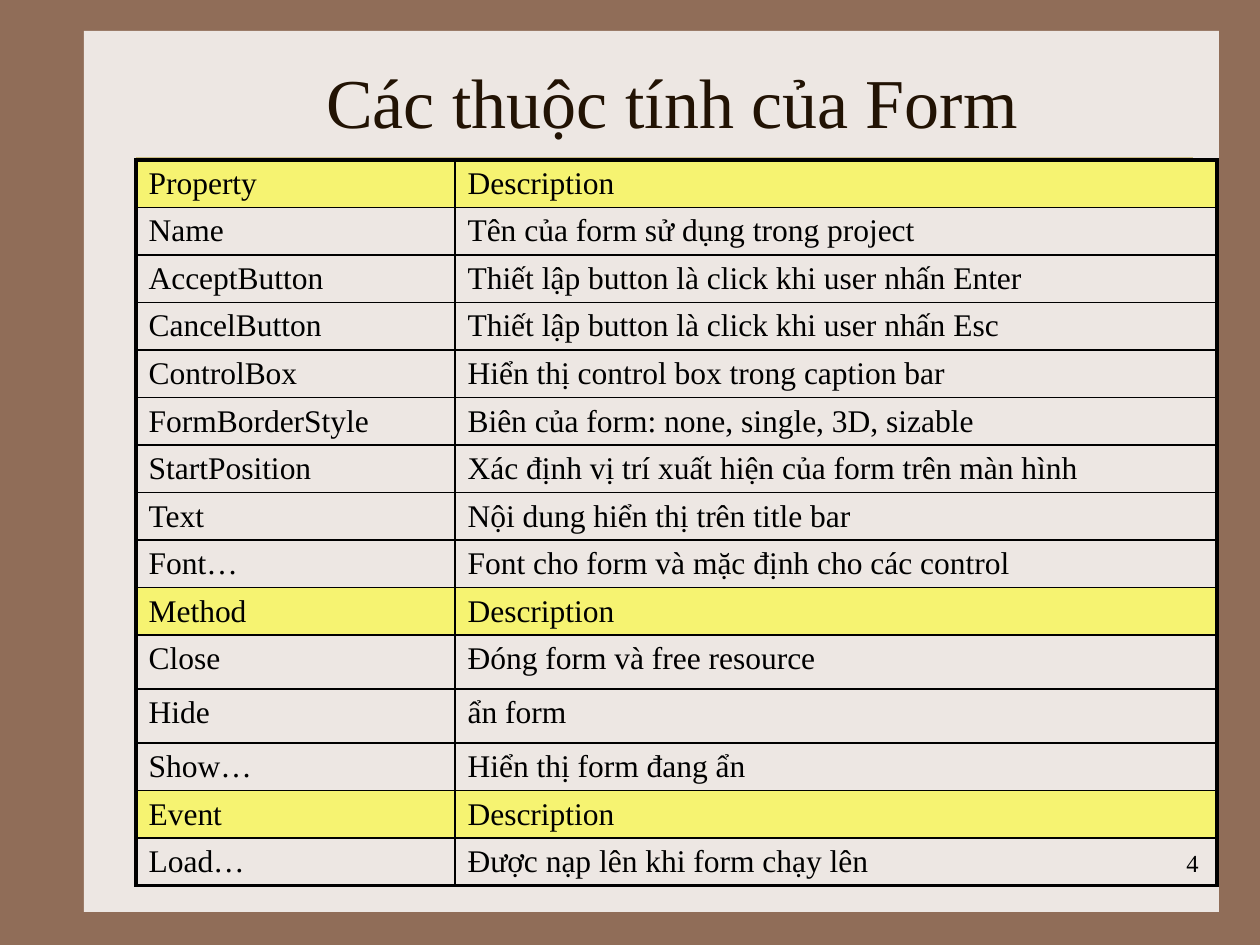
from dataclasses import dataclass

from lxml import etree
from pptx import Presentation
from pptx.dml.color import RGBColor
from pptx.enum.shapes import MSO_CONNECTOR, MSO_SHAPE
from pptx.enum.text import MSO_ANCHOR, PP_ALIGN
from pptx.oxml.ns import qn
from pptx.util import Pt

RECT = MSO_SHAPE.RECTANGLE
STRAIGHT = MSO_CONNECTOR.STRAIGHT
MIDDLE = MSO_ANCHOR.MIDDLE
LEFT, CENTER, RIGHT = PP_ALIGN.LEFT, PP_ALIGN.CENTER, PP_ALIGN.RIGHT
SCALE = 914400 / 126


@dataclass(frozen=True)
class Theme:
    font: str = "Times New Roman"
    back: str = "906D58"
    page: str = "EDE7E3"
    rule: str = "CBBD83"
    title: str = "221304"
    ink: str = "000000"
    head: str = "FFFF00"
    head_alpha: int = 50
    title_size: int = 40
    cell_size: int = 18
    num_size: int = 14
    thin: float = 1
    thick: float = 2.25
    hair: float = 0.25


THEME = Theme()
HEADS = ("Property", "Method", "Event")
TALL = ("Close", "Hide")
COLS = (319, 762)
ROW, TALL_ROW = 47, 54
ROWS = [
    ("Property", "Description"),
    ("Name", "Tên của form sử dụng trong project"),
    ("AcceptButton", "Thiết lập button là click khi user nhấn Enter"),
    ("CancelButton", "Thiết lập button là click khi user nhấn Esc"),
    ("ControlBox", "Hiển thị control box trong caption bar"),
    ("FormBorderStyle", "Biên của form: none, single, 3D, sizable"),
    ("StartPosition", "Xác định vị trí xuất hiện của form trên màn hình"),
    ("Text", "Nội dung hiển thị trên title bar"),
    ("Font…", "Font cho form và mặc định cho các control"),
    ("Method", "Description"),
    ("Close", "Đóng form và free resource"),
    ("Hide", "ẩn form"),
    ("Show…", "Hiển thị form đang ẩn"),
    ("Event", "Description"),
    ("Load…", "Được nạp lên khi form chạy lên"),
]


def px(n):
    return round(n * SCALE)


def rgb(color):
    return RGBColor.from_string(color)


def write(frame, text, size=THEME.cell_size, color=THEME.ink, align=LEFT):
    frame.word_wrap = True
    para = frame.paragraphs[0]
    para.alignment = align
    run = para.add_run()
    run.text = text
    run.font.name = THEME.font
    run.font.size = Pt(size)
    run.font.color.rgb = rgb(color)


def draw_page(slide, box):
    x, y, w, h = box
    fill = slide.background.fill
    fill.solid()
    fill.fore_color.rgb = rgb(THEME.back)
    page = slide.shapes.add_shape(RECT, *map(px, box))
    page.shadow.inherit = False
    page.fill.solid()
    page.fill.fore_color.rgb = rgb(THEME.page)
    page.line.fill.background()
    level = px(y + 126)
    rule = slide.shapes.add_connector(STRAIGHT, px(x + 52), level, px(x + w - 26), level)
    rule.line.color.rgb = rgb(THEME.rule)
    rule.line.width = Pt(THEME.hair)
    etree.SubElement(rule._element.spPr, qn("a:effectLst"))


def draw_title(slide, box, text):
    title = slide.shapes.title
    # Bring the title above the page panel.
    slide.shapes._spTree.append(title._element)
    title.left, title.top, title.width, title.height = map(px, box)
    title.text_frame.vertical_anchor = MIDDLE
    write(title.text_frame, text, size=THEME.title_size, color=THEME.title, align=CENTER)


def draw_number(slide, box, text):
    label = slide.shapes.add_textbox(*map(px, box))
    write(label.text_frame, text, size=THEME.num_size, align=RIGHT)


def set_edge(cell, side, width):
    edge = etree.SubElement(cell._tc.get_or_add_tcPr(), qn(f"a:ln{side}"), w=str(Pt(width)))
    fill = etree.SubElement(edge, qn("a:solidFill"))
    etree.SubElement(fill, qn("a:srgbClr"), val=THEME.ink)


def fill_cell(cell, head):
    if not head:
        cell.fill.background()
        return
    cell.fill.solid()
    cell.fill.fore_color.rgb = rgb(THEME.head)
    color = cell._tc.tcPr.find(".//" + qn("a:solidFill") + "[last()]")
    color = cell._tc.tcPr.find(qn("a:solidFill") + "/" + qn("a:srgbClr"))
    etree.SubElement(color, qn("a:alpha"), val=str(THEME.head_alpha * 1000))


def draw_table(slide, left, top):
    tall = [TALL_ROW if name in TALL else ROW for name, _ in ROWS]
    size = (sum(COLS), sum(tall))
    frame = slide.shapes.add_table(len(ROWS), len(COLS), px(left), px(top), *map(px, size))
    table = frame.table
    table.first_row = table.horz_banding = False
    for col, width in zip(table.columns, COLS):
        col.width = px(width)
    for r, texts in enumerate(ROWS):
        table.rows[r].height = px(tall[r])
        for c, text in enumerate(texts):
            cell = table.cell(r, c)
            write(cell.text_frame, text)
            outer = {"L": c == 0, "R": c == len(COLS) - 1,
                     "T": r == 0, "B": r == len(ROWS) - 1}
            for side, edge in outer.items():
                set_edge(cell, side, THEME.thick if edge else THEME.thin)
            fill_cell(cell, texts[0] in HEADS)


def main():
    deck = Presentation()
    deck.slide_width, deck.slide_height = px(1260), px(945)
    slide = deck.slides.add_slide(deck.slide_layouts[5])
    draw_page(slide, (84, 31, 1135, 881))
    draw_number(slide, (949, 842, 262, 63), "4")
    draw_title(slide, (147, 53, 1050, 95), "Các thuộc tính của Form")
    draw_table(slide, 136, 160)
    deck.save("out.pptx")


if __name__ == "__main__":
    main()
